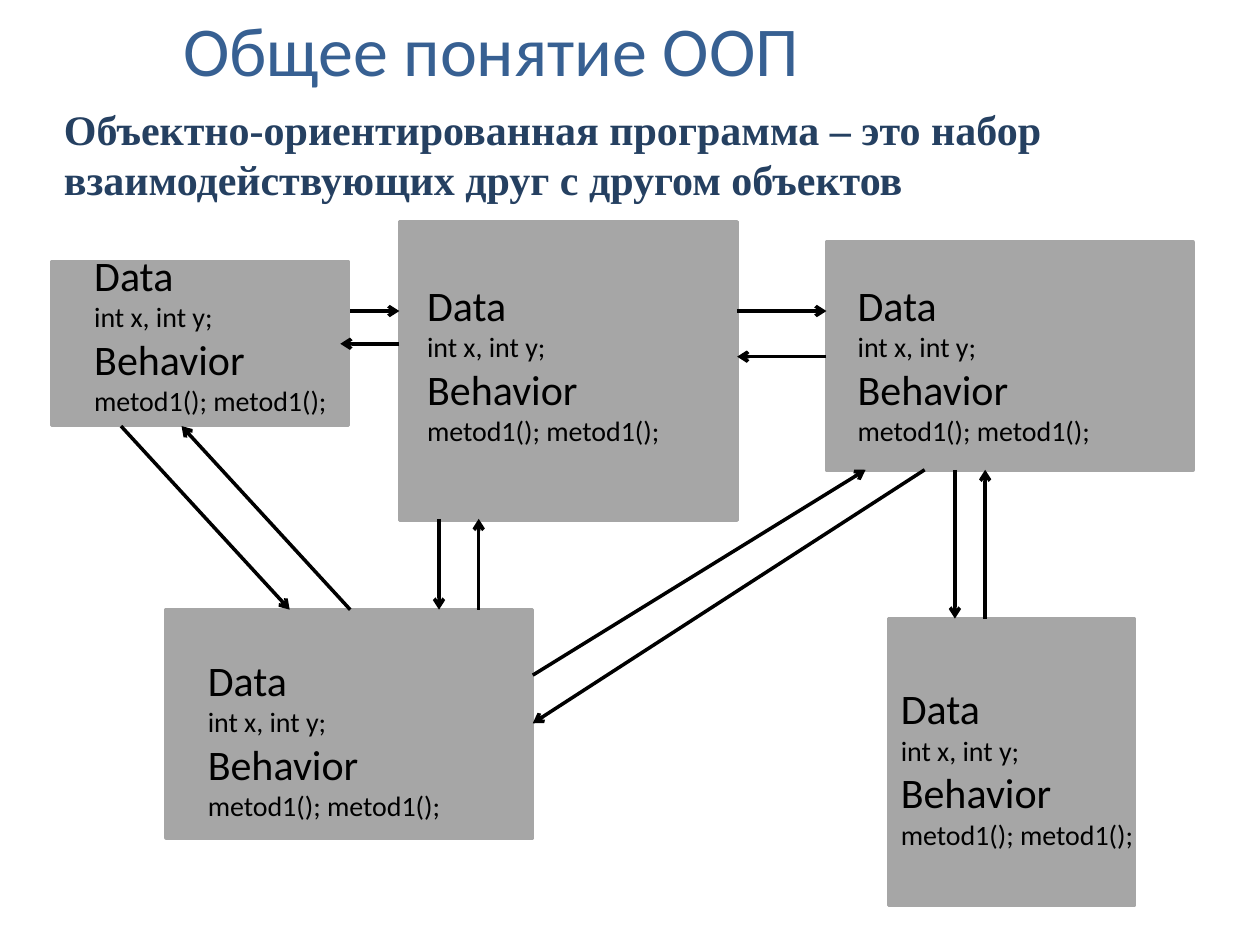
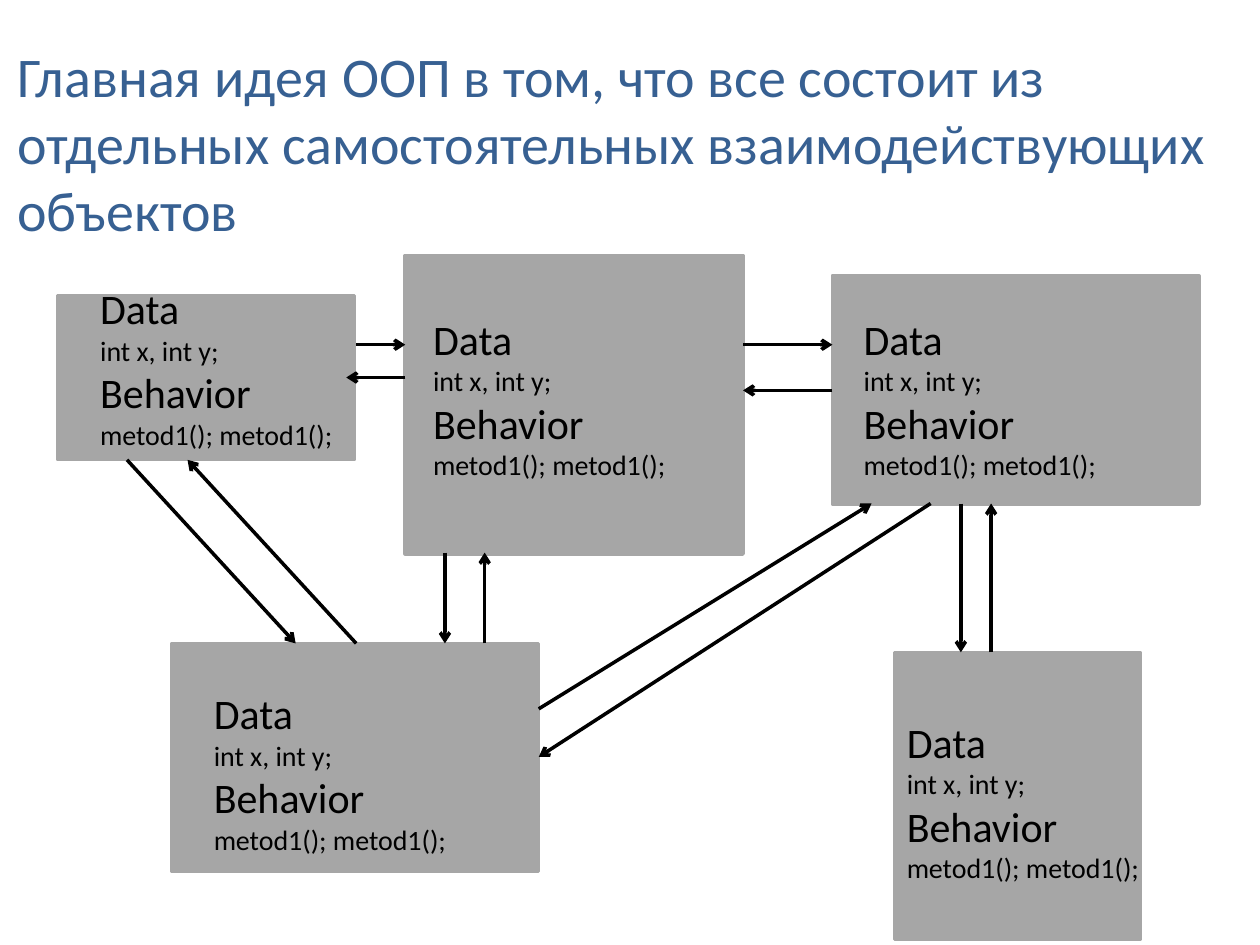
from dataclasses import dataclass

from lxml.etree import SubElement
from pptx import Presentation
from pptx.dml.color import RGBColor
from pptx.enum.shapes import MSO_CONNECTOR, MSO_SHAPE
from pptx.enum.text import MSO_AUTO_SIZE, PP_ALIGN
from pptx.oxml.ns import qn
from pptx.shapes.shapetree import GroupShapes, SlideShapes
from pptx.slide import Slide
from pptx.util import Cm, Pt

COLORS = {
    "title": "376092",
    "subtitle": "254061",
    "box": "A6A6A6",
    "ink": "000000",
}
LINE_WIDTH = Pt(2)
TEXT_HEIGHT = 3.66


@dataclass(frozen=True)
class Line:
    text: str
    size: int
    color: str = "ink"
    font: str = "Calibri"
    bold: bool = False
    align: PP_ALIGN = PP_ALIGN.LEFT


@dataclass(frozen=True)
class ObjectBox:
    left: float
    top: float
    width: float
    height: float
    text_left: float
    text_top: float
    text_width: float


@dataclass(frozen=True)
class Message:
    x1: float
    y1: float
    x2: float
    y2: float


OBJECT_LINES = [
    Line("Data", 24),
    Line("int x, int y;", 16),
    Line("Behavior", 24),
    Line("metod1(); metod1();", 16),
]

OBJECTS = [
    ObjectBox(8.05, 4.47, 6.81, 6.02, 8.36, 5.51, 6.2),
    ObjectBox(1.04, 5.28, 5.99, 3.3, 1.65, 4.9, 5.41),
    ObjectBox(16.66, 4.88, 7.39, 4.6, 17.04, 5.51, 6.2),
    ObjectBox(3.35, 12.29, 7.39, 4.6, 3.94, 13.06, 6.2),
    ObjectBox(17.91, 12.47, 4.95, 5.79, 17.91, 13.64, 5.74),
]

MESSAGES = [
    Message(7.06, 6.27, 8.05, 6.27),
    Message(8.05, 6.93, 6.86, 6.93),
    Message(14.86, 6.27, 16.66, 6.27),
    Message(16.66, 7.19, 14.86, 7.19),
    Message(19.25, 9.47, 19.25, 12.47),
    Message(19.86, 12.47, 19.86, 9.47),
    Message(2.44, 8.59, 5.84, 12.29),
    Message(7.06, 12.29, 3.66, 8.59),
    Message(8.85, 10.46, 8.85, 12.29),
    Message(9.65, 12.29, 9.65, 10.46),
    Message(10.74, 13.61, 17.45, 9.47),
    Message(18.64, 9.47, 10.74, 14.58),
]


def rgb(name: str) -> RGBColor:
    return RGBColor.from_string(COLORS[name])


def add_text(shapes: SlideShapes | GroupShapes, left: float, top: float,
             width: float, height: float, lines: list[Line]) -> None:
    tf = shapes.add_textbox(Cm(left), Cm(top), Cm(width), Cm(height)).text_frame
    tf.word_wrap = True
    tf.auto_size = MSO_AUTO_SIZE.SHAPE_TO_FIT_TEXT
    for i, line in enumerate(lines):
        p = tf.add_paragraph() if i else tf.paragraphs[0]
        p.text = line.text
        p.alignment = line.align
        p.font.name = line.font
        p.font.size = Pt(line.size)
        p.font.bold = line.bold
        p.font.color.rgb = rgb(line.color)


def add_object(s: Slide, box: ObjectBox, dx: float, dy: float) -> None:
    shapes = s.shapes.add_group_shape().shapes
    sp = shapes.add_shape(MSO_SHAPE.RECTANGLE, Cm(box.left + dx), Cm(box.top + dy),
                          Cm(box.width), Cm(box.height))
    sp.shadow.inherit = False
    sp.fill.solid()
    sp.fill.fore_color.rgb = rgb("box")
    sp.line.color.rgb = rgb("box")
    sp.line.width = LINE_WIDTH
    add_text(shapes, box.text_left + dx, box.text_top + dy,
             box.text_width, TEXT_HEIGHT, OBJECT_LINES)


def add_message(s: Slide, m: Message, dx: float, dy: float) -> None:
    cxn = s.shapes.add_connector(MSO_CONNECTOR.STRAIGHT, Cm(m.x1 + dx), Cm(m.y1 + dy),
                                 Cm(m.x2 + dx), Cm(m.y2 + dy))
    cxn.line.color.rgb = rgb("ink")
    cxn.line.width = LINE_WIDTH
    SubElement(cxn.line._get_or_add_ln(), qn("a:tailEnd"), type="arrow")
    SubElement(cxn._element.spPr, qn("a:effectLst"))


def add_diagram(s: Slide, dx: float = 0, dy: float = 0) -> None:
    for box in OBJECTS:
        add_object(s, box, dx, dy)
    for message in MESSAGES:
        add_message(s, message, dx, dy)


def add_concept_slide(prs: Presentation) -> None:
    s = prs.slides.add_slide(prs.slide_layouts[6])
    add_text(s.shapes, 0.1, 0, 19.6, 1.96,
             [Line("Общее понятие ООП", 40, "title", align=PP_ALIGN.CENTER)])
    add_diagram(s)
    add_text(s.shapes, 1.04, 1.96, 23.65, 2.29,
             [Line("Объектно-ориентированная программа – это набор "
                   "взаимодействующих друг с другом объектов",
                   24, "subtitle", "Times New Roman", bold=True)])


def add_main_idea_slide(prs: Presentation) -> None:
    s = prs.slides.add_slide(prs.slide_layouts[6])
    add_text(s.shapes, 0.1, 0.71, 24.82, 4.32,
             [Line("Главная идея ООП в том, что все состоит из отдельных "
                   "самостоятельных взаимодействующих объектов", 32, "title")])
    add_diagram(s, dx=0.12, dy=0.68)


def main() -> None:
    prs = Presentation()
    prs.slide_width = Cm(25.4)
    prs.slide_height = Cm(19.05)
    add_concept_slide(prs)
    add_main_idea_slide(prs)
    prs.save("out.pptx")


if __name__ == "__main__":
    main()
